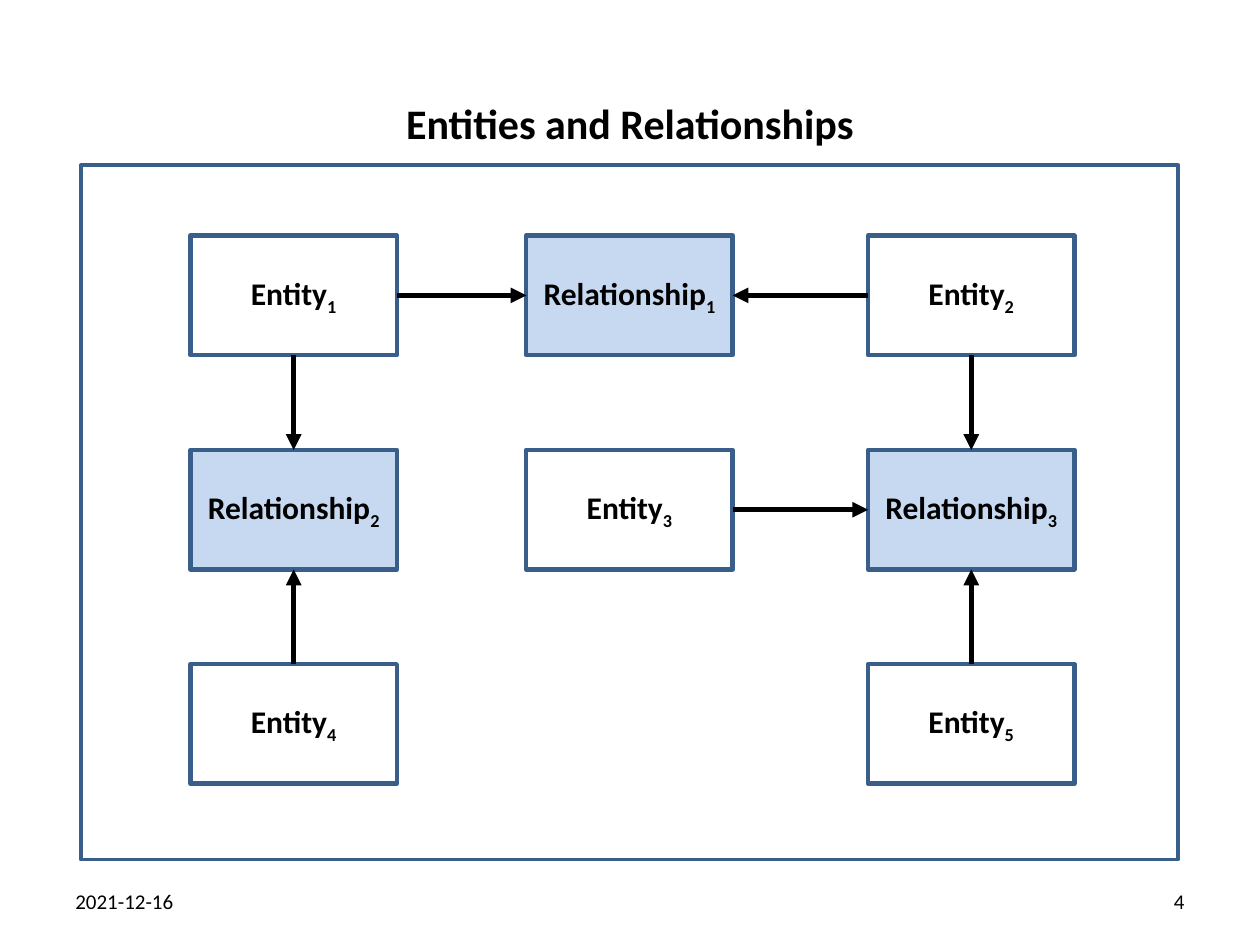
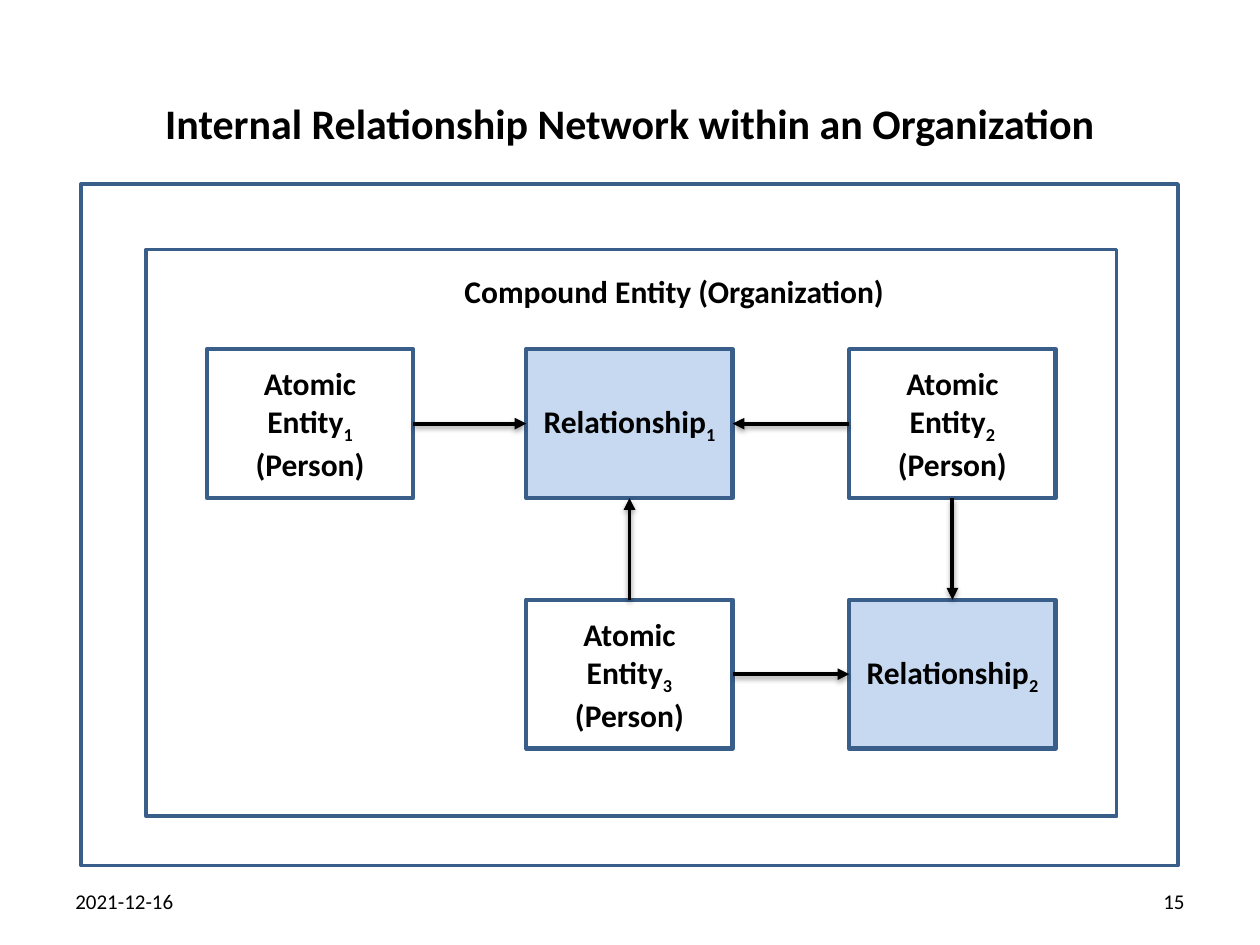
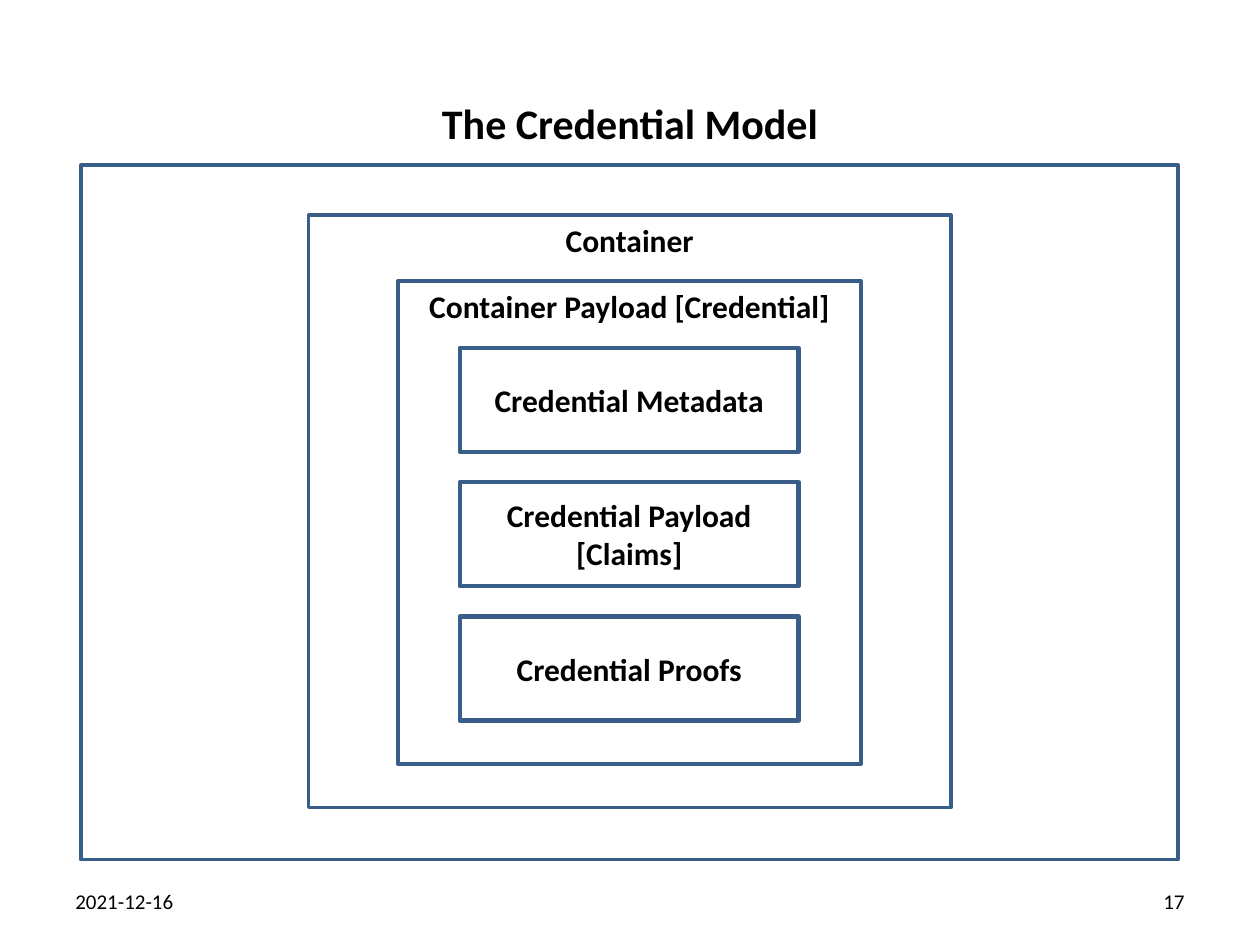
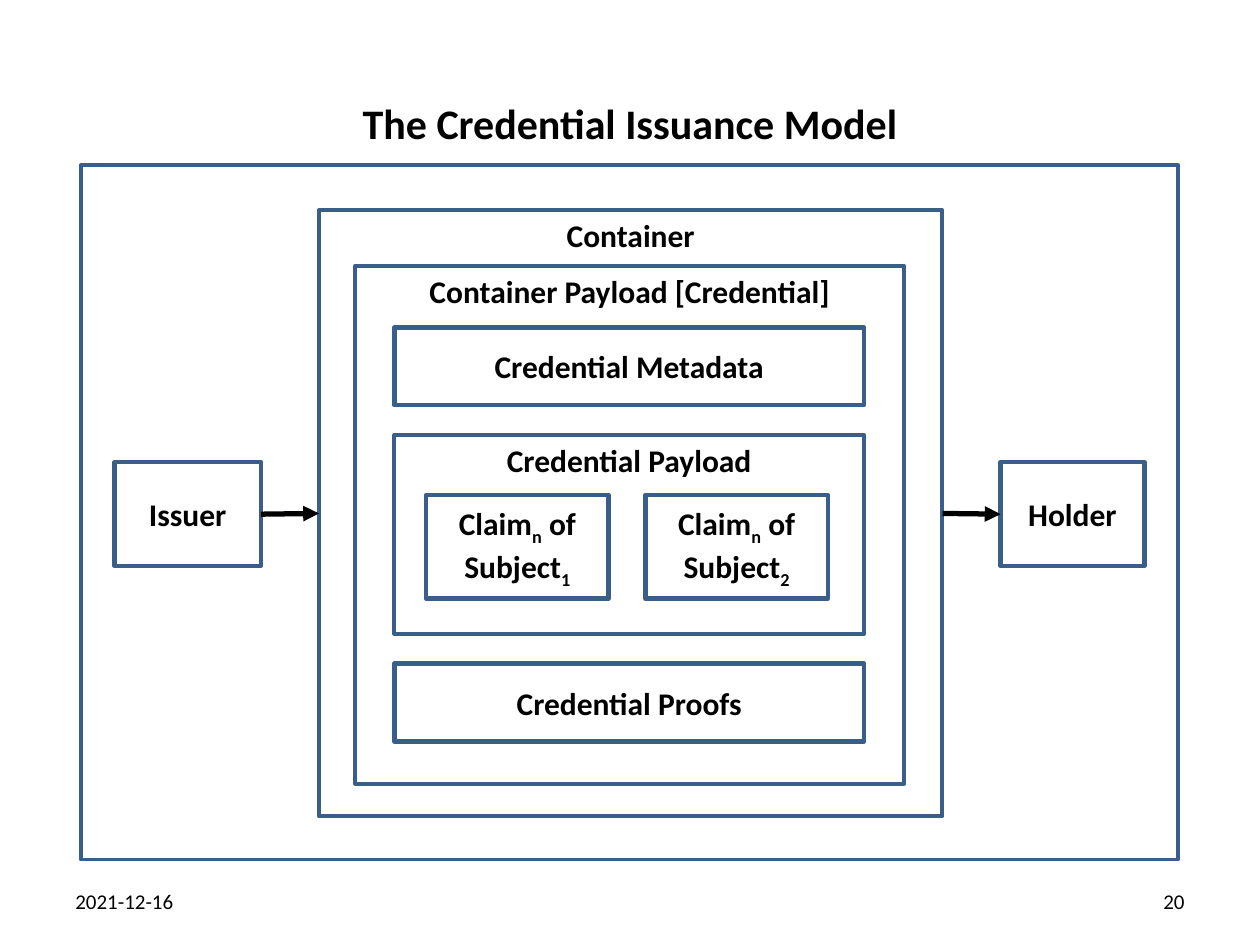
"""Builds four slides on entities, relationships and credentials."""
import dataclasses

import lxml.etree
import pptx
import pptx.dml.color
import pptx.enum.shapes
import pptx.enum.text
import pptx.oxml.ns
import pptx.util

DATE = "2021-12-16"

ENTITIES = {
    "title": "Entities and Relationships", "number": "4",
    "grid": [["Entity{1}", "Relationship{1}", "Entity{2}"],
             ["Relationship{2}", "Entity{3}", "Relationship{3}"],
             ["Entity{4}", None, "Entity{5}"]],
    "arrows": [("Entity{1}", "right", "Relationship{1}"),
               ("Entity{2}", "left", "Relationship{1}"),
               ("Entity{1}", "down", "Relationship{2}"),
               ("Entity{2}", "down", "Relationship{3}"),
               ("Entity{3}", "right", "Relationship{3}"),
               ("Entity{4}", "up", "Relationship{2}"),
               ("Entity{5}", "up", "Relationship{3}")],
}
ORGANIZATION = {
    "title": "Internal Relationship Network within an Organization", "number": "15",
    "caption": "Compound Entity (Organization)",
    "grid": [["Atomic Entity{1 }(Person)", "Relationship{1}", "Atomic Entity{2 }(Person)"],
             [None, "Atomic Entity{3 }(Person)", "Relationship{2}"]],
    "arrows": [("Atomic Entity{1 }(Person)", "right", "Relationship{1}"),
               ("Atomic Entity{2 }(Person)", "left", "Relationship{1}"),
               ("Atomic Entity{2 }(Person)", "down", "Relationship{2}"),
               ("Atomic Entity{3 }(Person)", "right", "Relationship{2}"),
               ("Atomic Entity{3 }(Person)", "up", "Relationship{1}")],
}
CREDENTIAL = {
    "title": "The Credential Model", "number": "17",
    "panels": ["Container", "Container Payload [Credential]"],
    "parts": ["Credential Metadata", "Credential Payload [Claims]", "Credential Proofs"],
}
ISSUANCE = {
    "title": "The Credential Issuance Model", "number": "20",
    "panels": ["Container", "Container Payload [Credential]"],
    "parts": ["Credential Metadata", "Credential Payload", "Credential Proofs"],
    "claims": ["Claim{n} of Subject{1}", "Claim{n} of Subject{2}"],
    "parties": ["Issuer", "Holder"],
    "arrows": [("Issuer", "right", "Container"), ("Container", "right", "Holder")],
}


@dataclasses.dataclass(frozen=True)
class Theme:
    font: str = "Calibri"
    ink: str = "000000"
    border: str = "395E89"
    shade: str = "C6D9F1"
    title_size: float = 24
    label_size: float = 18
    footer_size: float = 12
    frame_line: float = 2
    panel_line: float = 2.25
    box_line: float = 2.5


THEME = Theme()
ALIGN = pptx.enum.text.PP_ALIGN
ANCHOR = pptx.enum.text.MSO_ANCHOR
SIDES = {"up": (0, 2), "left": (1, 3), "down": (2, 0), "right": (3, 1)}
FRAME = (1.63, 3.33, 22.12, 14)
LOW_FRAME = (1.63, 3.71, 22.12, 13.74)


def rgb(value):
    return pptx.dml.color.RGBColor.from_string(value)


def cm(*lengths):
    return [pptx.util.Cm(length) for length in lengths]


def write(sp, text, size, bold=True, align=ALIGN.CENTER, anchor=ANCHOR.MIDDLE):
    tf = sp.text_frame
    tf.word_wrap = True
    tf.vertical_anchor = anchor
    p = tf.paragraphs[0]
    p.alignment = align
    for i, part in enumerate(text.replace("}", "{").split("{")):
        if part:
            r = p.add_run()
            r.text = part
            r.font.name = THEME.font
            r.font.size = pptx.util.Pt(size)
            r.font.bold = bold
            r.font.color.rgb = rgb(THEME.ink)
            if i % 2:
                r.font._element.set("baseline", "-25000")


def add_text(s, rect, text, size, **style):
    write(s.shapes.add_textbox(*cm(*rect)), text, size, **style)


def add_rect(s, rect, weight, text="", fill=None, anchor=ANCHOR.MIDDLE):
    sp = s.shapes.add_shape(pptx.enum.shapes.MSO_SHAPE.RECTANGLE, *cm(*rect))
    sp.shadow.inherit = False
    if fill:
        sp.fill.solid()
        sp.fill.fore_color.rgb = rgb(fill)
    else:
        sp.fill.background()
    sp.line.color.rgb = rgb(THEME.border)
    sp.line.width = pptx.util.Pt(weight)
    if text:
        write(sp, text, THEME.label_size, anchor=anchor)
    return sp


def add_box(s, rect, text):
    fill = THEME.shade if text.startswith("Relationship") else None
    return add_rect(s, rect, THEME.box_line, text, fill)


def add_panel(s, rect, text=""):
    return add_rect(s, rect, THEME.panel_line, text, anchor=ANCHOR.TOP)


def add_arrows(s, arrows, boxes, weight=3, shadow=False):
    qn = pptx.oxml.ns.qn
    for source, direction, target in arrows:
        c = s.shapes.add_connector(pptx.enum.shapes.MSO_CONNECTOR.STRAIGHT, 0, 0, 0, 0)
        start, end = SIDES[direction]
        c.begin_connect(boxes[source], start)
        c.end_connect(boxes[target], end)
        c.line.color.rgb = rgb(THEME.ink)
        c.line.width = pptx.util.Pt(weight)
        properties = c.element.spPr
        lxml.etree.SubElement(properties.find(qn("a:ln")), qn("a:tailEnd"), type="triangle")
        effects = lxml.etree.SubElement(properties, qn("a:effectLst"))
        if shadow:
            outer = lxml.etree.SubElement(effects, qn("a:outerShdw"), blurRad="40000",
                                          dist="20000", dir="5400000", rotWithShape="0")
            color = lxml.etree.SubElement(outer, qn("a:srgbClr"), val=THEME.ink)
            lxml.etree.SubElement(color, qn("a:alpha"), val="38000")


def add_slide(prs, content, frame=FRAME):
    s = prs.slides.add_slide(prs.slide_layouts[6])
    add_text(s, (2.31, 1.83, 20.78, 1.27), content["title"], THEME.title_size)
    for left, text, align in ((1.27, DATE, ALIGN.LEFT), (18.21, content["number"], ALIGN.RIGHT)):
        add_text(s, (left, 17.65, 5.92, 1.02), text, THEME.footer_size, bold=False, align=align)
    add_rect(s, frame, THEME.frame_line)
    return s


def add_grid(s, rows, lefts, top, pitch, width, height):
    return {text: add_box(s, (left, top + i * pitch, width, height), text)
            for i, row in enumerate(rows)
            for left, text in zip(lefts, row) if text}


def add_panels(s, texts, rects):
    return {text: add_panel(s, rect, text) for text, rect in zip(texts, rects)}


def build_entities(prs):
    s = add_slide(prs, ENTITIES)
    boxes = add_grid(s, ENTITIES["grid"], (3.84, 10.61, 17.5), 4.75, 4.32, 4.16, 2.41)
    add_arrows(s, ENTITIES["arrows"], boxes)


def build_organization(prs):
    s = add_slide(prs, ORGANIZATION, LOW_FRAME)
    add_panel(s, (2.95, 5.03, 19.56, 11.43))
    add_text(s, (7.98, 5.36, 11.23, 1.8), ORGANIZATION["caption"], THEME.label_size,
             anchor=ANCHOR.TOP)
    boxes = add_grid(s, ORGANIZATION["grid"], (4.17, 10.61, 17.12), 7.04, 5.05, 4.16, 3)
    add_arrows(s, ORGANIZATION["arrows"], boxes, weight=2.25, shadow=True)


def build_credential(prs):
    s = add_slide(prs, CREDENTIAL)
    add_panels(s, CREDENTIAL["panels"], [(6.22, 4.34, 12.95, 11.94), (8.03, 5.66, 9.32, 9.75)])
    add_grid(s, [[part] for part in CREDENTIAL["parts"]], [9.27], 7.01, 2.71, 6.83, 2.1)


def build_issuance(prs):
    s = add_slide(prs, ISSUANCE)
    boxes = add_panels(s, ISSUANCE["panels"],
                       [(6.43, 4.24, 12.57, 12.22), (7.16, 5.36, 11.07, 10.44)])
    top, gap = 6.6, 0.6
    for part, height, add in zip(ISSUANCE["parts"], (1.57, 4.01, 1.57),
                                 (add_box, add_panel, add_box)):
        add(s, (7.95, top, 9.47, height), part)
        top += height + gap
    add_grid(s, [ISSUANCE["claims"]], (8.59, 13.01), 9.98, 0, 3.68, 2.09)
    for party, left, width in zip(ISSUANCE["parties"], (2.31, 20.17), (2.95, 2.9)):
        boxes[party] = add_box(s, (left, 9.32, width, 2.09), party)
    add_arrows(s, ISSUANCE["arrows"], boxes)


def main():
    prs = pptx.Presentation()
    prs.slide_width, prs.slide_height = cm(25.4, 19.05)
    for build in (build_entities, build_organization, build_credential, build_issuance):
        build(prs)
    prs.save("out.pptx")


if __name__ == "__main__":
    main()
